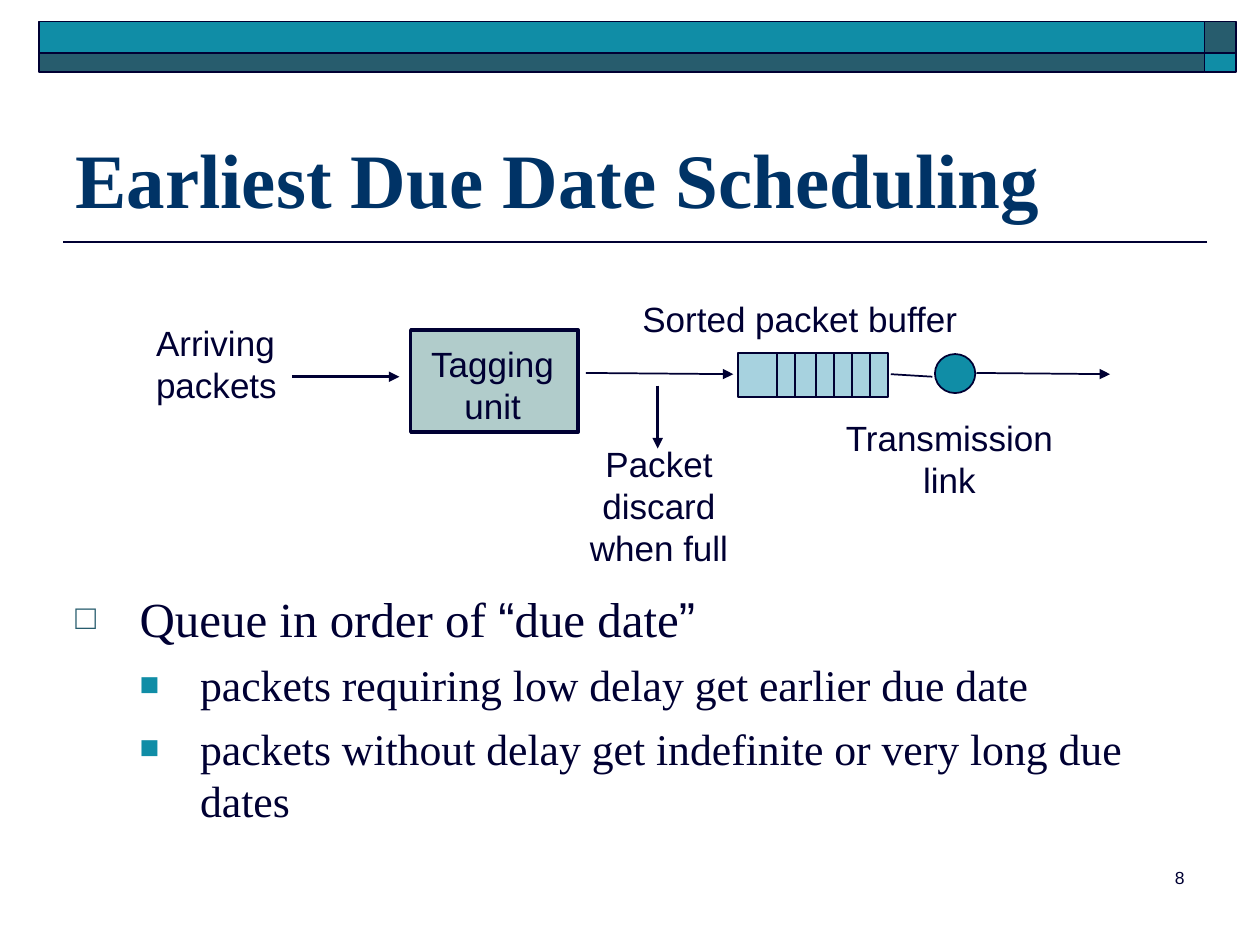
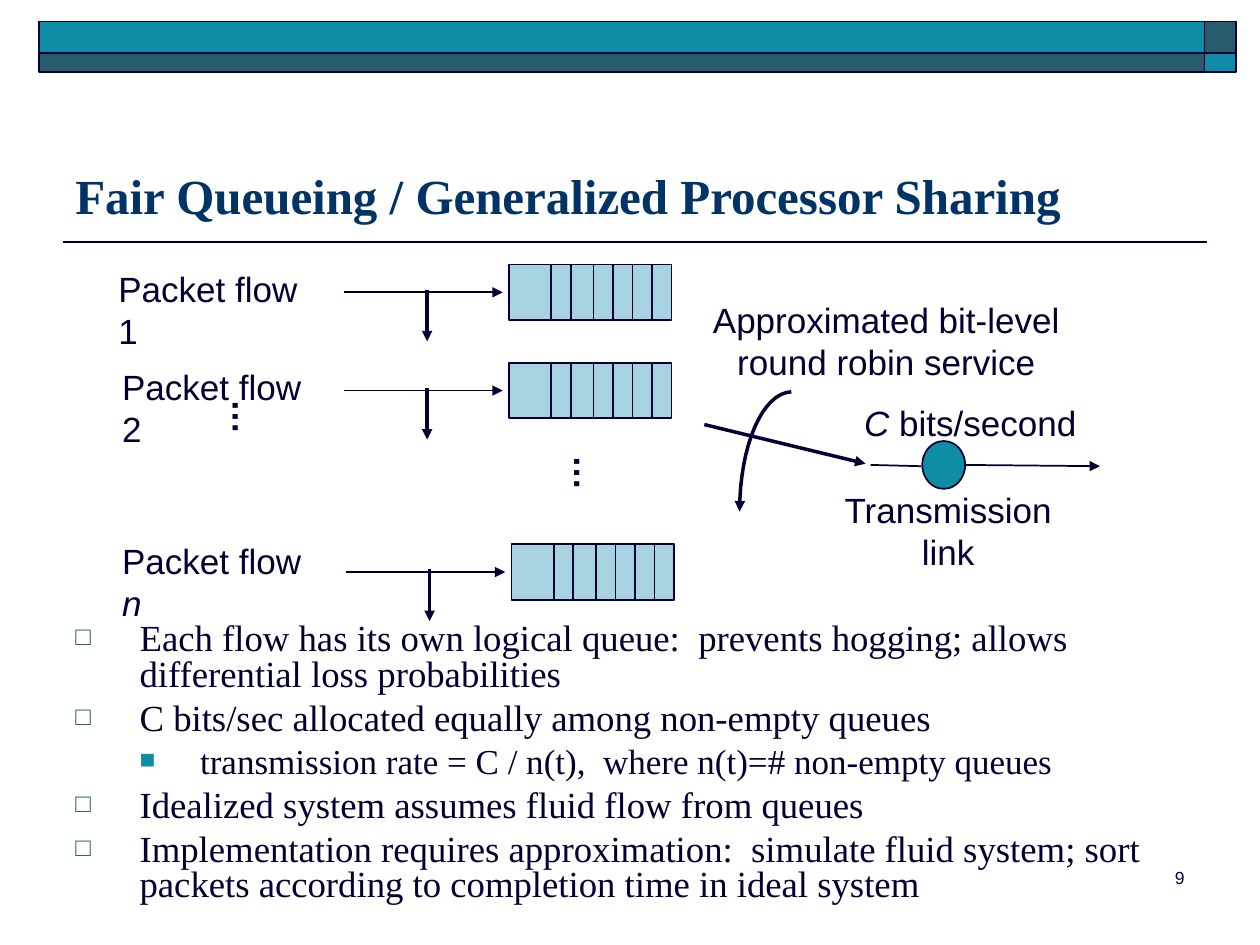
from lxml import etree
from pptx import Presentation
from pptx.dml.color import RGBColor
from pptx.enum.shapes import MSO_CONNECTOR as CONN, MSO_SHAPE as SHAPE
from pptx.enum.text import MSO_ANCHOR as ANCHOR, PP_ALIGN as ALIGN
from pptx.oxml.ns import qn
from pptx.util import Inches, Pt

INK, TITLE = "000033", "003366"
TEAL, SLATE = "108DA6", "275C6D"
QUEUE_FILL, UNIT_FILL = "A7D2DF", "B1CCCB"
SERIF, SANS = "Times New Roman", "Arial"
BULLETS = [("□", SLATE, 70, 0.51, 0.51), ("■", TEAL, 75, 0.99, 0.48)]
SLOT_EDGES = (0.26, 0.38, 0.52, 0.64, 0.76, 0.88)


def rgb(value):
    """Turn a hex string into a colour."""
    return RGBColor.from_string(value)


def add_runs(p, runs, size, font=SANS, color=INK, bold=False):
    """Add runs, each a string or a (text, font settings) pair."""
    for item in [runs] if isinstance(runs, str) else runs:
        text, extra = (item, {}) if isinstance(item, str) else item
        r = p.add_run()
        r.text = text
        r.font.size, r.font.name, r.font.bold = Pt(size), font, bold
        r.font.color.rgb = rgb(color)
        for name, value in extra.items():
            setattr(r.font, name, value)


def add_text(s, box, lines, size=20, align=ALIGN.LEFT, wrap=False,
             anchor=ANCHOR.TOP, **style):
    """Add a text box with one paragraph for each line."""
    sp = s.shapes.add_textbox(*map(Inches, box))
    tf = sp.text_frame
    tf.word_wrap, tf.vertical_anchor = wrap, anchor
    for i, runs in enumerate(lines):
        p = tf.add_paragraph() if i else tf.paragraphs[0]
        p.alignment = align
        add_runs(p, runs, size, **style)
    return sp


def add_bullet(p, level):
    """Give a paragraph the indent and mark of its level."""
    char, color, percent, left, hang = BULLETS[level]
    p.level = level
    pPr = p._p.get_or_add_pPr()
    pPr.set("marL", str(Inches(left)))
    pPr.set("indent", str(-Inches(hang)))
    clr = etree.SubElement(pPr, qn("a:buClr"))
    etree.SubElement(clr, qn("a:srgbClr"), val=color)
    etree.SubElement(pPr, qn("a:buSzPct"), val=str(percent * 1000))
    etree.SubElement(pPr, qn("a:buFont"), typeface=SANS)
    etree.SubElement(pPr, qn("a:buChar"), char=char)


def add_body(s, box, items, sizes, gaps, line_spacing=None):
    """Add a bulleted list of (level, runs) items."""
    tf = s.shapes.add_textbox(*map(Inches, box)).text_frame
    tf.word_wrap = True
    for i, (level, runs) in enumerate(items):
        p = tf.add_paragraph() if i else tf.paragraphs[0]
        p.space_before = Pt(gaps[level])
        p.line_spacing = line_spacing
        add_bullet(p, level)
        add_runs(p, runs, sizes[level], SERIF)


def add_box(s, box, fill, kind=SHAPE.RECTANGLE, weight=1):
    """Add a filled, outlined shape."""
    sp = s.shapes.add_shape(kind, *map(Inches, box))
    sp.shadow.inherit = False
    sp.fill.solid()
    sp.fill.fore_color.rgb = rgb(fill)
    sp.line.color.rgb, sp.line.width = rgb(INK), Pt(weight)


def add_arrowhead(line, end="tailEnd"):
    """Put a triangle on one end of a line."""
    etree.SubElement(line._get_or_add_ln(), qn(f"a:{end}"), type="triangle")


def add_line(s, x1, y1, x2, y2, weight=1, arrow=False):
    """Add a straight line, with an arrowhead at its end if asked."""
    c = s.shapes.add_connector(CONN.STRAIGHT, *map(Inches, (x1, y1, x2, y2)))
    c.line.color.rgb, c.line.width = rgb(INK), Pt(weight)
    if arrow:
        add_arrowhead(c.line)
    etree.SubElement(c._element.spPr, qn("a:effectLst"))


def add_curve(s, points, steps=16):
    """Draw a cubic curve with an arrowhead at its first point."""
    def at(t):
        weights = ((1 - t) ** 3, 3 * t * (1 - t) ** 2, 3 * t * t * (1 - t), t ** 3)
        return tuple(Inches(sum(w * pt[axis] for w, pt in zip(weights, points)))
                     for axis in (0, 1))

    path_points = [at(i / steps) for i in range(steps + 1)]
    builder = s.shapes.build_freeform(*path_points[0])
    builder.add_line_segments(path_points[1:], close=False)
    sp = builder.convert_to_shape()
    sp.shadow.inherit = False
    sp.fill.background()
    sp.line.color.rgb, sp.line.width = rgb(INK), Pt(2)
    add_arrowhead(sp.line, "headEnd")


def add_queue(s, x, y, w, h):
    """Draw a packet buffer divided into slots."""
    add_box(s, (x, y, w, h), QUEUE_FILL)
    for edge in SLOT_EDGES:
        add_line(s, x + edge * w, y, x + edge * w, y + h)


def add_flow(s, x, y, label, label_x, label_y):
    """Draw a labelled flow with its discard arrow and queue."""
    add_text(s, (label_x, label_y, 1.85, 0.43), [label])
    add_line(s, x - 1.31, y + 0.22, x - 0.05, y + 0.22, arrow=True)
    add_line(s, x - 0.65, y + 0.2, x - 0.65, y + 0.61, 2, True)
    add_queue(s, x, y, 1.29, 0.44)


def add_link(s, node, wire_in, wire_out, label_at):
    """Draw the transmission link: node, wires and label."""
    add_box(s, node, TEAL, SHAPE.OVAL)
    add_line(s, *wire_in)
    add_line(s, *wire_out, arrow=True)
    add_text(s, (*label_at, 1.85, 0.76), ["Transmission", "link"],
             align=ALIGN.CENTER)


def add_slide(prs, title, title_size, number):
    """Add a blank slide with the bands, title, rule and number."""
    s = prs.slides.add_slide(prs.slide_layouts[6])
    add_line(s, 9.58, 1.92, 0.5, 1.92)
    for y, h, wide, corner in ((0.17, 0.25, TEAL, SLATE),
                               (0.42, 0.15, SLATE, TEAL)):
        add_box(s, (9.56, y, 0.25, h), corner)
        add_box(s, (0.31, y, 9.25, h), wide)
    add_text(s, (0.5, 0.58, 9, 1.25), [title], title_size, wrap=True,
             anchor=ANCHOR.BOTTOM, font=SERIF, color=TITLE, bold=True)
    add_text(s, (7.42, 6.83, 2.08, 0.5), [str(number)], 10, ALIGN.RIGHT, True)
    return s


def build_due_date(prs):
    """Build the slide on earliest due date scheduling."""
    s = add_slide(prs, "Earliest Due Date Scheduling", 44, 8)
    add_text(s, (1.14, 2.5, 1.16, 0.76), ["Arriving", "packets"])
    add_line(s, 2.32, 2.99, 3.17, 2.99, 2, True)
    add_box(s, (3.26, 2.62, 1.33, 0.81), UNIT_FILL, weight=2)
    add_text(s, (3.31, 2.67, 1.2, 0.76), ["Tagging", "unit"], align=ALIGN.CENTER)
    add_line(s, 4.65, 2.96, 5.82, 2.97, arrow=True)
    add_line(s, 5.22, 3.06, 5.22, 3.56, 2, True)
    add_text(s, (4.22, 3.46, 2.02, 0.76), ["Packet discard", "when full"],
             align=ALIGN.CENTER)
    add_text(s, (5, 2.31, 2.7, 0.43), ["Sorted packet buffer"])
    add_queue(s, 5.86, 2.8, 1.19, 0.35)
    add_link(s, (7.42, 2.81, 0.32, 0.31), (7.07, 2.97, 7.4, 2.99),
             (7.75, 2.96, 8.81, 2.97), (6.61, 3.26))
    quote = {"name": SANS}
    add_body(s, (0.5, 4.62, 9.3, 2.28), [
        (0, ["Queue in order of ", ("“", quote), "due date", ("”", quote)]),
        (1, "packets requiring low delay get earlier due date"),
        (1, "packets without delay get indefinite or very long due dates"),
    ], sizes=(28, 25), gaps=(7, 6.2))


def build_fair_queueing(prs):
    """Build the slide on fair queueing."""
    s = add_slide(prs, "Fair Queueing / Generalized Processor Sharing", 28, 9)
    italic = {"italic": True}
    add_flow(s, 4.04, 2.1, "Packet flow 1", 0.84, 2.07)
    add_flow(s, 4.04, 2.88, "Packet flow 2", 0.87, 2.85)
    add_flow(s, 4.06, 4.32, ["Packet flow ", ("n", italic)], 0.87, 4.23)
    for x, y in ((1.32, 2.87), (4.03, 3.31)):
        dots = add_text(s, (x, y, 0.92, 0.44), ["…"], wrap=True, bold=True)
        dots.text_frame.paragraphs[0].space_before = Pt(12.5)
        dots.rotation = 270
    add_text(s, (4.97, 2.32, 4.13, 0.76),
             ["Approximated bit-level", "round robin service"],
             align=ALIGN.CENTER, wrap=True)
    add_line(s, 5.59, 3.37, 6.87, 3.68, 2, True)
    add_curve(s, [(5.87, 4.06), (5.87, 3.54), (6.05, 3.12), (6.28, 3.11)])
    add_text(s, (6.76, 3.14, 1.89, 0.43), [[("C", italic), " bits/second"]])
    add_link(s, (7.32, 3.5, 0.34, 0.38), (6.91, 3.69, 7.31, 3.7),
             (7.65, 3.69, 8.73, 3.7), (6.6, 3.83))
    add_body(s, (0.5, 4.9, 9, 2.48), [
        (0, "Each flow has its own logical queue:  prevents hogging; "
            "allows differential loss probabilities"),
        (0, "C bits/sec allocated equally among non-empty queues"),
        (1, "transmission rate = C / n(t),  where n(t)=# non-empty queues"),
        (0, "Idealized system assumes fluid flow from queues"),
        (0, "Implementation requires approximation:  simulate fluid system; "
            "sort packets according to completion time in ideal system"),
    ], sizes=(21, 20), gaps=(5.2, 5), line_spacing=0.8)


def main():
    """Build and save the presentation."""
    prs = Presentation()
    prs.slide_width, prs.slide_height = Inches(10), Inches(7.5)
    build_due_date(prs)
    build_fair_queueing(prs)
    prs.save("out.pptx")


if __name__ == "__main__":
    main()
